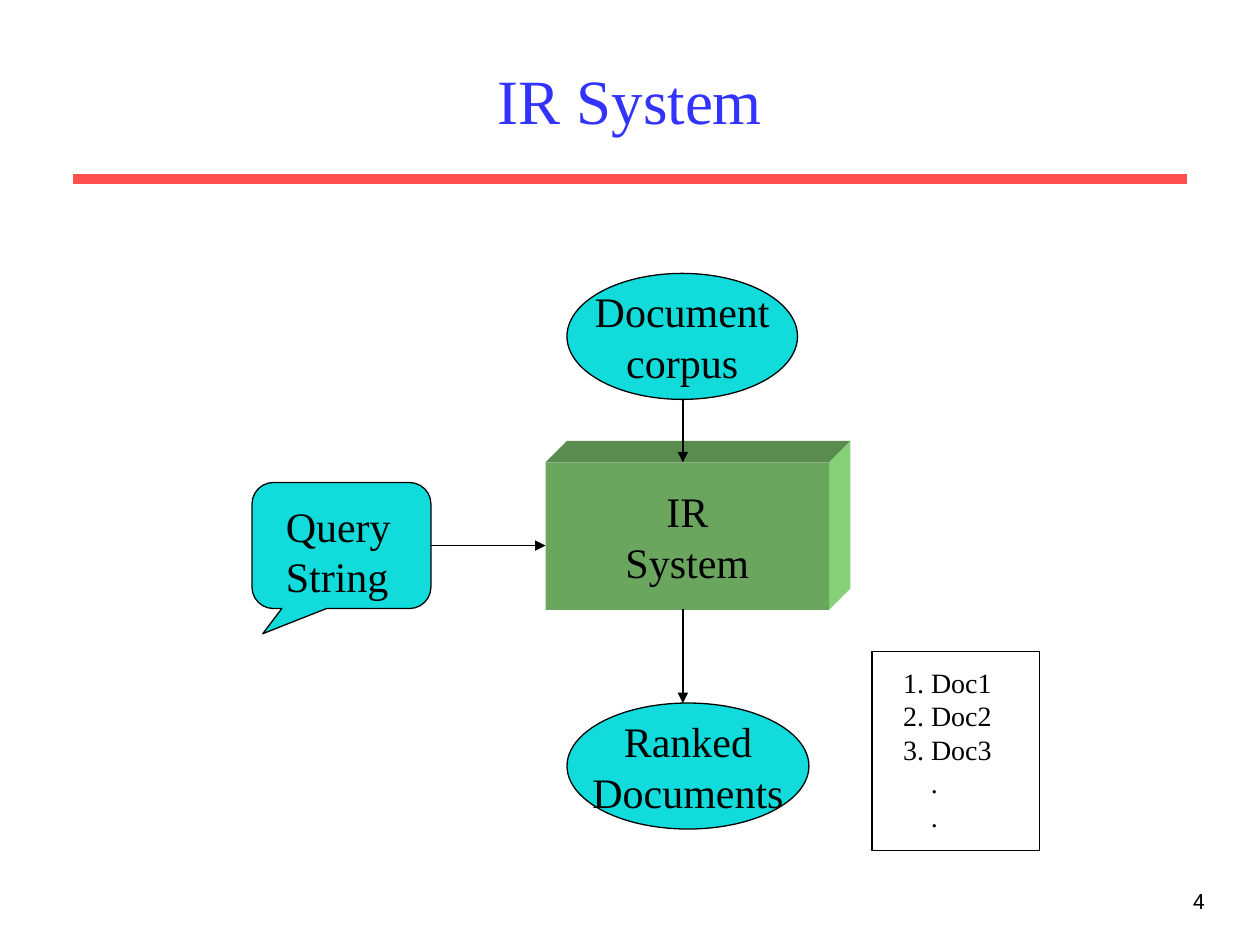
import pptx
import pptx.dml.color
import pptx.enum.shapes
import pptx.enum.text
import pptx.oxml
import pptx.oxml.ns
import pptx.util

BLACK = pptx.dml.color.RGBColor(0x00, 0x00, 0x00)
WHITE = pptx.dml.color.RGBColor(0xFF, 0xFF, 0xFF)
BLUE = pptx.dml.color.RGBColor(0x33, 0x33, 0xFF)
RED = pptx.dml.color.RGBColor(0xFF, 0x50, 0x50)
CYAN = pptx.dml.color.RGBColor(0x11, 0xDB, 0xDB)
FRONT_GREEN = pptx.dml.color.RGBColor(0x6A, 0xA6, 0x5E)
TOP_GREEN = pptx.dml.color.RGBColor(0x5A, 0x8C, 0x50)
SIDE_GREEN = pptx.dml.color.RGBColor(0x86, 0xD0, 0x77)

SHAPES = pptx.enum.shapes.MSO_SHAPE
ALIGN = pptx.enum.text.PP_ALIGN
ANCHOR = pptx.enum.text.MSO_ANCHOR


class SlideBuilder:
    """Holds the style and the current slide, with a method per kind of element."""

    font_name = "Times New Roman"
    line_width = 0.75

    def __init__(self, slide):
        self.slide = slide

    def fill_text(self, shape, lines, size=24, color=BLACK, font=font_name,
                  align=ALIGN.CENTER, anchor=ANCHOR.MIDDLE, wrap=False):
        frame = shape.text_frame
        frame.word_wrap = wrap
        frame.vertical_anchor = anchor
        formats = {"name": font, "size": pptx.util.Pt(size)}
        for index, line in enumerate(lines):
            paragraph = frame.add_paragraph() if index else frame.paragraphs[0]
            paragraph.alignment = align
            run = paragraph.add_run()
            run.text = line
            run.font.color.rgb = color
            for name, value in formats.items():
                setattr(run.font, name, value)
        return frame

    def paint(self, shape, fill, line):
        shape.shadow.inherit = False
        shape.fill.solid()
        shape.fill.fore_color.rgb = fill
        if line is None:
            shape.line.fill.background()
        else:
            shape.line.color.rgb = line
            shape.line.width = pptx.util.Pt(self.line_width)

    def shape(self, kind, box, fill, line=BLACK, lines=()):
        shape = self.slide.shapes.add_shape(kind, *map(pptx.util.Inches, box))
        self.paint(shape, fill, line)
        if lines:
            self.fill_text(shape, lines)
        return shape

    def face(self, points, fill):
        corners = [tuple(map(pptx.util.Inches, point)) for point in points]
        builder = self.slide.shapes.build_freeform(*corners[0], scale=1.0)
        builder.add_line_segments(corners[1:])
        self.paint(builder.convert_to_shape(), fill, None)

    def text(self, box, lines, **formats):
        shape = self.slide.shapes.add_textbox(*map(pptx.util.Inches, box))
        return self.fill_text(shape, lines, **formats)

    def line(self, start, end, color=BLACK, width=line_width, arrow=True):
        connector = self.slide.shapes.add_connector(
            pptx.enum.shapes.MSO_CONNECTOR.STRAIGHT, *map(pptx.util.Inches, start + end))
        connector.line.color.rgb = color
        connector.line.width = pptx.util.Pt(width)
        namespace = pptx.oxml.ns.nsdecls("a")
        properties = connector._element.spPr
        if arrow:
            properties.find(pptx.oxml.ns.qn("a:ln")).append(
                pptx.oxml.parse_xml(f'<a:tailEnd {namespace} type="triangle"/>'))
        properties.append(pptx.oxml.parse_xml(f"<a:effectLst {namespace}/>"))


def main():
    presentation = pptx.Presentation()
    presentation.slide_width = pptx.util.Inches(10)
    presentation.slide_height = pptx.util.Inches(7.5)
    builder = SlideBuilder(presentation.slides.add_slide(presentation.slide_layouts[6]))

    builder.line((0.58, 1.42), (9.42, 1.42), RED, 6, arrow=False)
    builder.text((7.58, 7, 2.08, 0.5), ["4"], size=12, font="Roboto",
                 align=ALIGN.RIGHT, anchor=ANCHOR.TOP, wrap=True)
    builder.text((0.75, 0.25, 8.5, 1.08), ["IR System"], size=36, color=BLUE, wrap=True)

    left, top, width, height = system_box = (4.33, 3.67, 2.25, 1.17)
    right, bottom, depth = left + width, top + height, 0.17
    back_corner = (right + depth, top - depth)
    builder.face([(left, top), (left + depth, top - depth), back_corner, (right, top)],
                 TOP_GREEN)
    builder.face([(right, top), back_corner, (right + depth, bottom - depth),
                  (right, bottom)], SIDE_GREEN)
    builder.shape(SHAPES.RECTANGLE, system_box, FRONT_GREEN, None, ["IR", "System"])

    callout = builder.shape(SHAPES.ROUNDED_RECTANGULAR_CALLOUT, (2, 3.83, 1.42, 1), CYAN)
    for index, value in enumerate((-0.44, 0.7, 0.17)):
        callout.adjustments[index] = value
    builder.text((2.17, 3.92, 1.03, 0.9), ["Query String"],
                 align=ALIGN.LEFT, anchor=ANCHOR.TOP, wrap=True)

    builder.shape(SHAPES.OVAL, (4.5, 2.17, 1.83, 1), CYAN, lines=["Document", "corpus"])
    builder.shape(SHAPES.OVAL, (4.5, 5.58, 1.92, 1), CYAN, lines=["Ranked", "Documents"])

    for start, end in (((3.42, 4.33), (4.33, 4.33)),
                       ((5.42, 3.17), (5.42, 3.67)),
                       ((5.42, 4.83), (5.42, 5.58))):
        builder.line(start, end)

    builder.shape(SHAPES.RECTANGLE, (6.92, 5.17, 1.33, 1.58), WHITE)
    documents = [f"{rank}. Doc{rank}" for rank in range(1, 4)]
    ranking = builder.text((7.07, 5.23, 0.9, 1.74), documents + [".", "."], size=16,
                           align=ALIGN.LEFT, anchor=ANCHOR.TOP)
    for paragraph in ranking.paragraphs[len(documents):]:
        paragraph._p.get_or_add_pPr().set("marL", str(pptx.util.Inches(0.22)))

    presentation.save("out.pptx")


if __name__ == "__main__":
    main()
